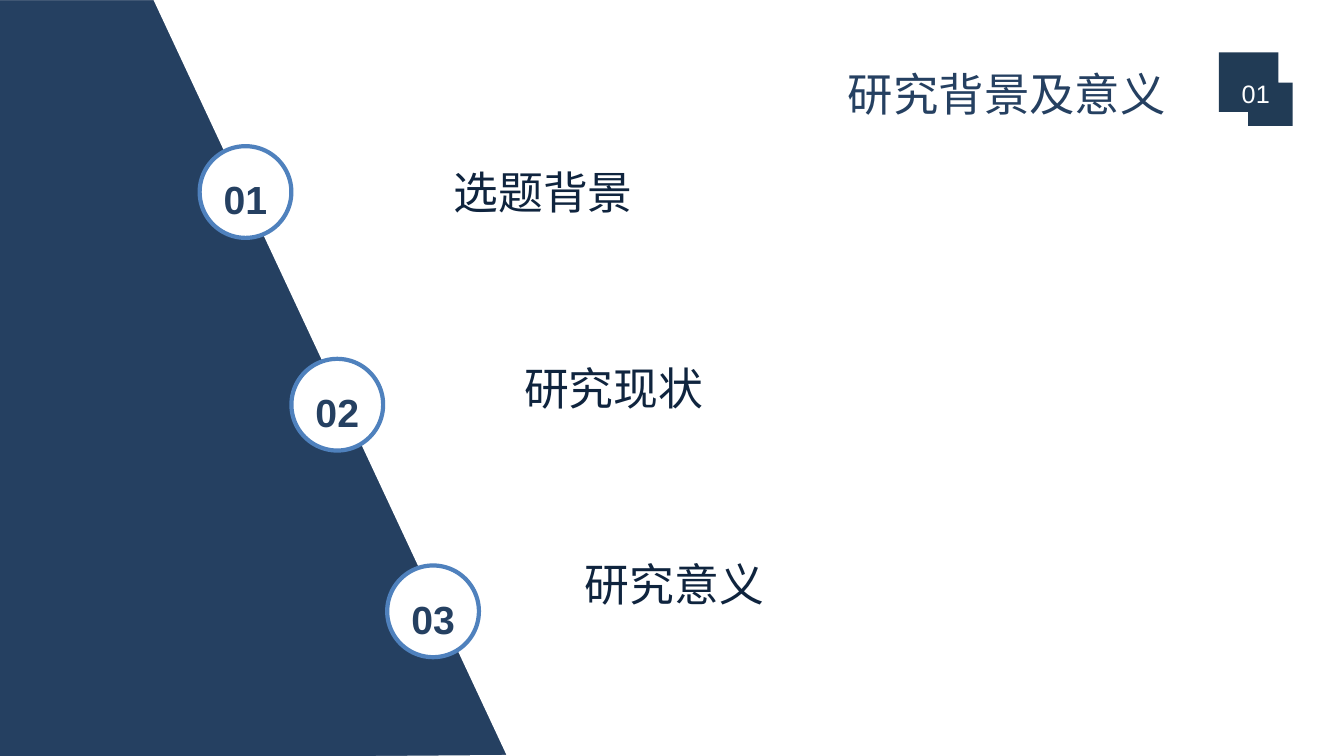
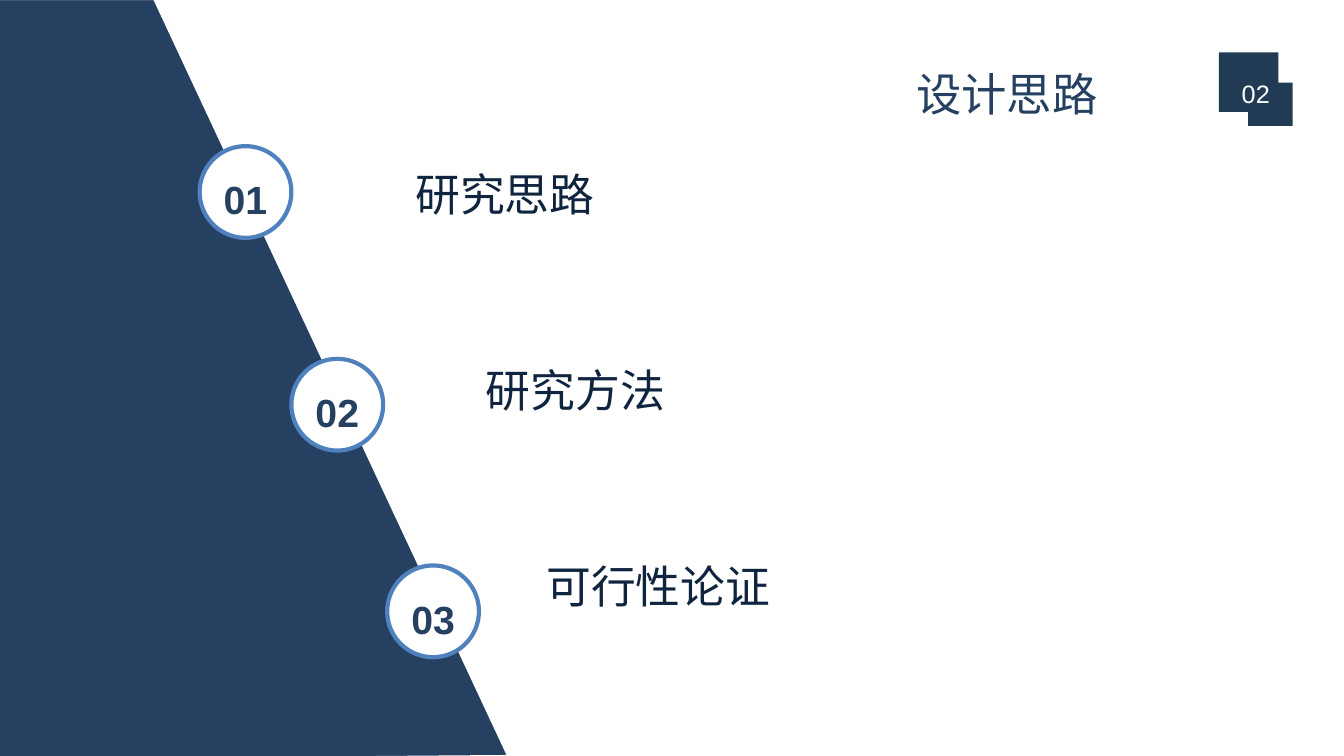
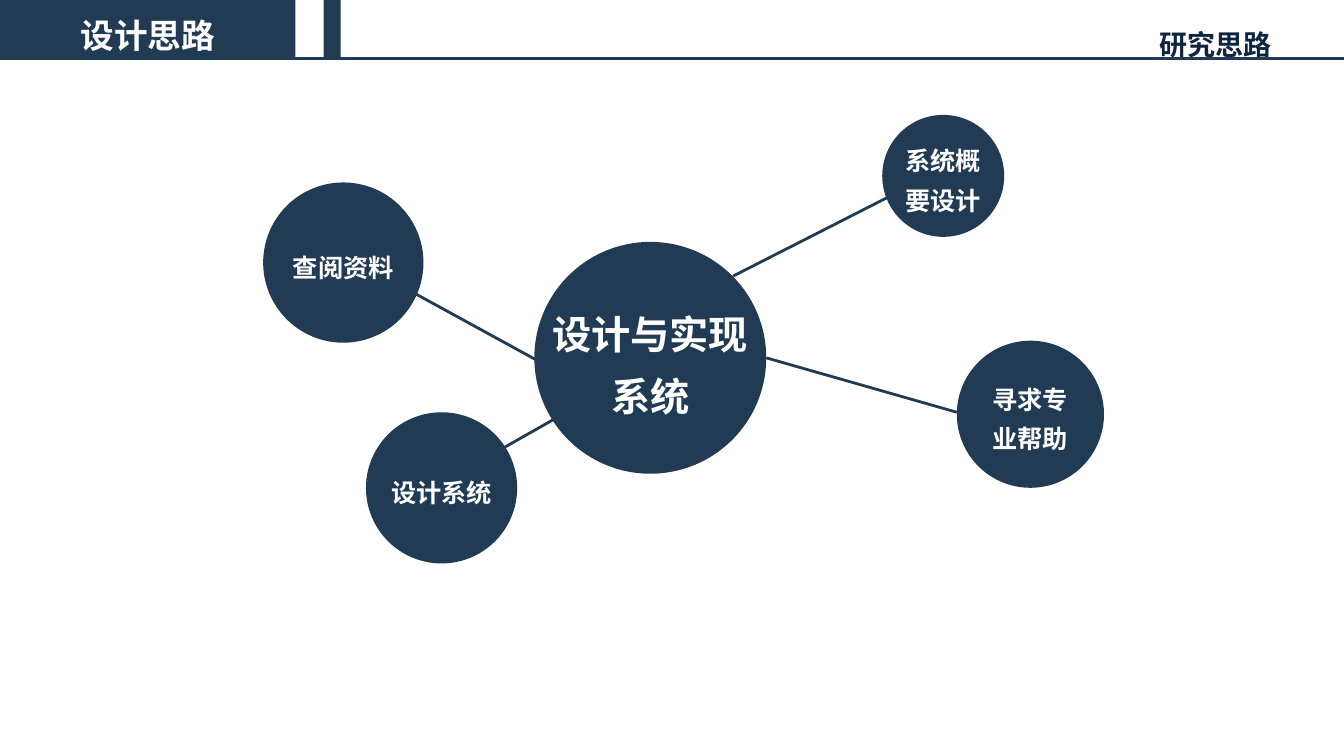
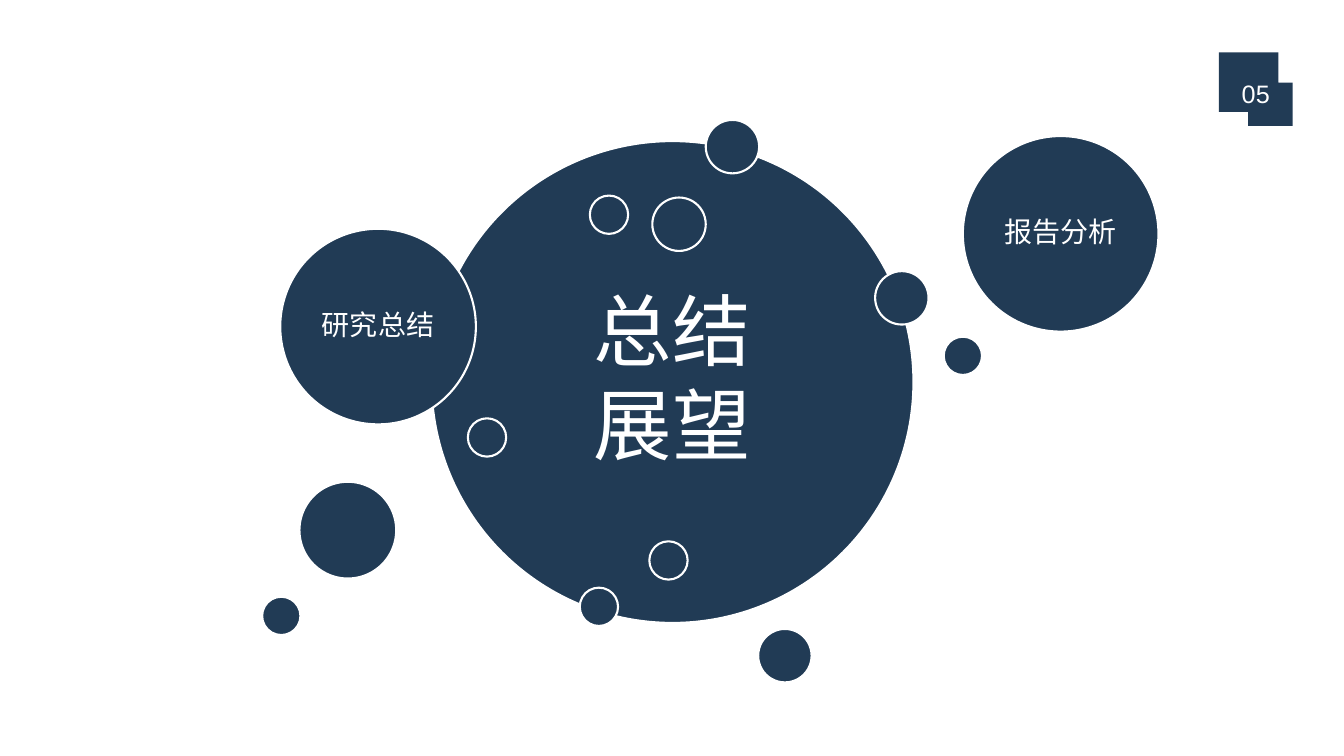
"""Build four slides of a thesis defence: two section openers, a mind map and a summary."""
from lxml.etree import SubElement
from pptx import Presentation
from pptx.dml.color import RGBColor
from pptx.enum.shapes import MSO_CONNECTOR, MSO_SHAPE
from pptx.enum.text import MSO_ANCHOR, PP_ALIGN
from pptx.oxml.ns import qn
from pptx.util import Inches, Pt

COLORS = {"navy": "213B55", "panel": "254061", "ink": "0F243E", "ring": "4F81BD", "white": "FFFFFF"}
LATIN, EAST_ASIAN = "Arial", "Noto Sans CJK SC"

SECTIONS = [
    {"number": "01", "title": "研究背景及意义", "topics": ["选题背景", "研究现状", "研究意义"], "topics_at": (4.4, 1.43)},
    {"number": "02", "title": "设计思路", "topics": ["研究思路", "研究方法", "可行性论证"], "topics_at": (4.02, 1.45)},
]
TOPIC_INDENTS = [0, 0.7, 1.3]
STEP_CIRCLES = [(1.98, 1.45), (2.89, 3.56), (3.84, 5.61)]
PANEL = [(5.04, 7.5), (1.53, -0.01), (-0.03, -0.01), (-0.01, 7.54)]
BADGE = [(12.09, 0.52), (12.68, 0.52), (12.68, 0.82), (12.82, 0.82),
         (12.82, 1.25), (12.38, 1.25), (12.38, 1.11), (12.09, 1.11)]

MAP_HEADER = {"section": "设计思路", "topic": "研究思路"}
MAP_LINKS = [((4.13, 2.92), (5.5, 3.67)), ((5, 4.44), (5.67, 4.06)),
             ((7.27, 2.74), (8.84, 1.94)), ((7.6, 3.55), (9.49, 4.09))]
MAP_NODES = [
    (8.75, 1.14, 1.21, 18, ["系统概", "要设计"]),
    (2.61, 1.81, 1.59, 18, ["查阅资料"]),
    (9.49, 3.38, 1.46, 18, ["寻求专", "业帮助"]),
    (3.63, 4.09, 1.5, 18, ["设计系统"]),
    (5.3, 2.4, 2.3, 28, ["设计与实现", "系统"]),
]

SUMMARY_NUMBER = "05"
SUMMARY_TOPICS = [
    (4.28, 1.4, 4.78, 56, ["总结", "展望"]),
    (2.78, 2.27, 1.94, 20, ["研究总结"]),
    (9.55, 1.35, 1.94, 20, ["报告分析"]),
]
BUBBLES = {
    0.38: [(5.75, 5.83), (9.36, 3.34), (5.85, 1.94), (4.64, 4.15), (2.6, 5.92), (6.44, 5.37)],
    0.53: [(7, 1.19), (7.52, 6.24), (6.47, 1.96), (8.68, 2.69)],
    0.96: [(2.97, 4.78)],
}


def color(name):
    return RGBColor.from_string(COLORS[name])


def paint(shape, fill, line=None, width=1.5):
    shape.shadow.inherit = False
    shape.fill.solid()
    shape.fill.fore_color.rgb = color(fill)
    if line:
        shape.line.color.rgb = color(line)
        shape.line.width = Pt(width)
    else:
        shape.line.fill.background()
    return shape


def add_preset(slide, kind, box, fill, line=None, width=1.5):
    shape = slide.shapes.add_shape(kind, *map(Inches, box))
    return paint(shape, fill, line, width)


def add_circle(slide, left, top, size, fill="navy", line=None, width=1.5):
    return add_preset(slide, MSO_SHAPE.OVAL, (left, top, size, size), fill, line, width)


def add_outline(slide, points, fill, line=None):
    start, *rest = [(Inches(x), Inches(y)) for x, y in points]
    builder = slide.shapes.build_freeform(*start)
    builder.add_line_segments(rest, close=True)
    return paint(builder.convert_to_shape(), fill, line)


def write(shape, lines, size, ink="white", bold=False, align=PP_ALIGN.CENTER,
          anchor=MSO_ANCHOR.MIDDLE, spacing=1.3, wrap=False):
    frame = shape.text_frame
    frame.word_wrap = wrap
    frame.vertical_anchor = anchor
    for index, line in enumerate(lines):
        paragraph = frame.paragraphs[0] if index == 0 else frame.add_paragraph()
        paragraph.alignment = align
        paragraph.line_spacing = spacing
        run = paragraph.add_run()
        run.text = line
        run.font.size = Pt(size)
        run.font.bold = bold
        run.font.color.rgb = color(ink)
        run.font.name = LATIN
        SubElement(run.font._element, qn("a:ea"), typeface=EAST_ASIAN)
    return frame.paragraphs


def add_text(slide, box, lines, size, ink, **style):
    return write(slide.shapes.add_textbox(*map(Inches, box)), lines, size, ink, wrap=True, **style)


def add_rule(slide, start, end):
    rule = slide.shapes.add_connector(MSO_CONNECTOR.STRAIGHT, *map(Inches, start + end))
    rule.line.color.rgb = color("navy")
    rule.line.width = Pt(2)
    SubElement(rule._element.spPr, qn("a:effectLst"))


def add_badge(slide, number):
    write(add_outline(slide, BADGE, "navy"), [number], 18)


def build_section(slide, section):
    add_badge(slide, section["number"])
    add_text(slide, (7.04, 0.52, 5.89, 0.73), [section["title"]], 32.4, "panel", anchor=MSO_ANCHOR.BOTTOM)
    topics = add_text(slide, section["topics_at"] + (5, 5.2), section["topics"], 32, "ink",
                      align=PP_ALIGN.LEFT, anchor=MSO_ANCHOR.TOP)
    for topic, indent in zip(topics, TOPIC_INDENTS):
        topic._p.get_or_add_pPr().set("marL", str(Inches(indent)))
        if indent:
            topic.space_before = Pt(90)
    add_outline(slide, PANEL, "panel", "white")
    for step, (left, top) in enumerate(STEP_CIRCLES, 1):
        circle = add_circle(slide, left, top, 0.91, "white", "ring", 3)
        write(circle, [f"{step:02}"], 28, "panel", bold=True)


def build_map(slide):
    topic = add_preset(slide, MSO_SHAPE.RECTANGLE, (7.41, 0.12, 5.3, 0.54), "white")
    write(topic, [MAP_HEADER["topic"]], 20, "ink", bold=True, align=PP_ALIGN.RIGHT,
          anchor=MSO_ANCHOR.TOP, wrap=True)
    section = add_preset(slide, MSO_SHAPE.RECTANGLE, (0, 0, 2.93, 0.58), "navy")
    write(section, [MAP_HEADER["section"]], 24, bold=True)
    add_preset(slide, MSO_SHAPE.RECTANGLE, (3.21, 0, 0.17, 0.58), "navy")
    for start, end in [((0, 0.58), (13.33, 0.58))] + MAP_LINKS:
        add_rule(slide, start, end)
    for left, top, diameter, size, lines in MAP_NODES:
        write(add_circle(slide, left, top, diameter), lines, size, bold=True)


def build_summary(slide):
    add_badge(slide, SUMMARY_NUMBER)
    for left, top, diameter, size, lines in SUMMARY_TOPICS:
        circle = add_circle(slide, left, top, diameter, line="white")
        for paragraph in write(circle, lines, size, spacing=0.9):
            paragraph.space_after = Pt(7)
    for diameter, places in BUBBLES.items():
        for left, top in places:
            add_circle(slide, left, top, diameter, line="white")


def main():
    deck = Presentation()
    deck.slide_width, deck.slide_height = Inches(13.33), Inches(7.5)
    blank = deck.slide_layouts[6]
    for section in SECTIONS:
        build_section(deck.slides.add_slide(blank), section)
    build_map(deck.slides.add_slide(blank))
    build_summary(deck.slides.add_slide(blank))
    deck.save("out.pptx")


if __name__ == "__main__":
    main()
